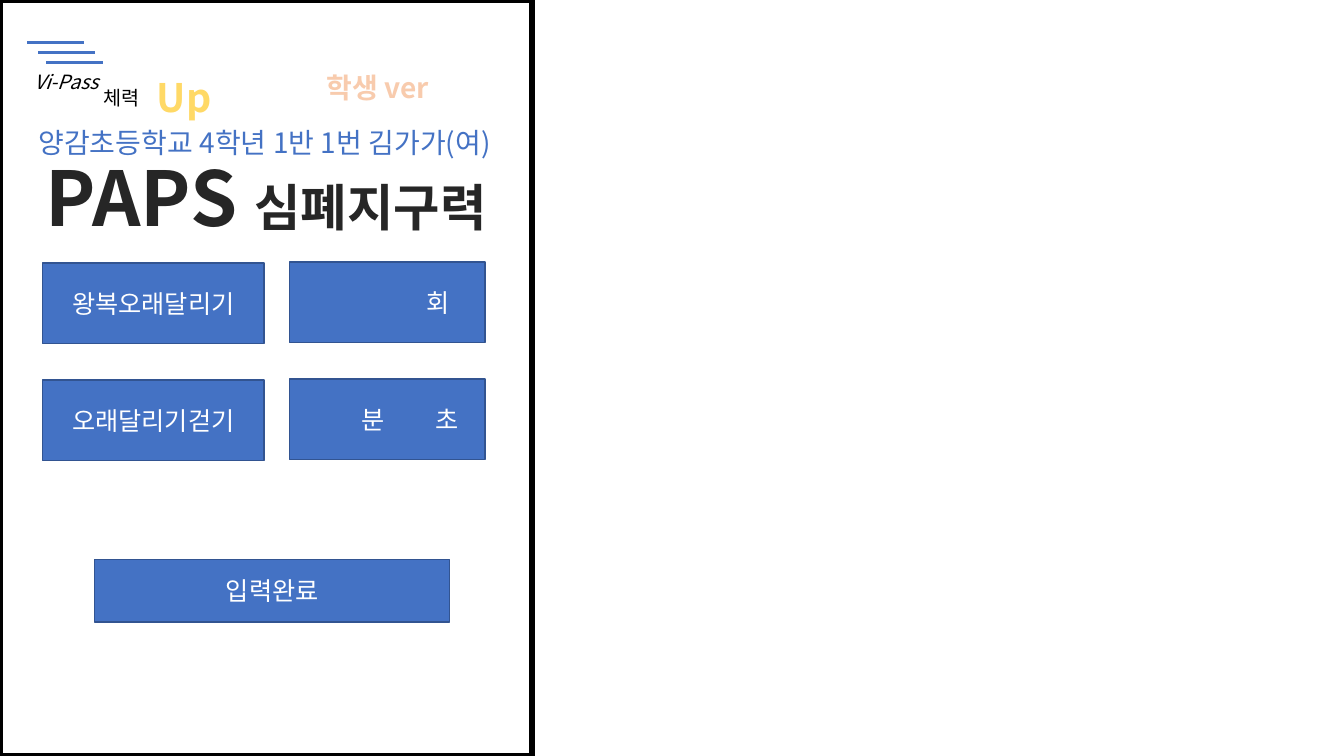
from lxml import etree
from pptx import Presentation
from pptx.dml.color import RGBColor
from pptx.enum import shapes, text
from pptx.oxml import parse_xml
from pptx.oxml.ns import nsdecls, qn
from pptx.util import Inches, Pt

FONT = "Noto Sans CJK KR"
COLORS = {name: RGBColor.from_string(code) for name, code in {
    "white": "FFFFFF", "black": "000000", "ink": "262626", "blue": "4472C4",
    "edge": "325491", "gold": "FFD966", "amber": "FFC000",
    "peach": "F8CBAD", "orange": "ED7D31"}.items()}
LEFT, MID = text.PP_ALIGN.LEFT, text.PP_ALIGN.CENTER


def style(para, size, color, align=MID, bold=False, italic=False, rim=None):
    para.alignment = align
    font = para.font
    font.name, font.size = FONT, Pt(size)
    font.bold, font.italic = bold, italic
    font.color.rgb = COLORS[color]
    props = para._p.pPr.find(qn("a:defRPr"))
    etree.SubElement(props, qn("a:ea")).set("typeface", FONT)
    if rim:
        shade, width = rim
        props.insert(0, parse_xml(
            f'<a:ln {nsdecls("a")} w="{Pt(width)}"><a:solidFill>'
            f'<a:srgbClr val="{COLORS[shade]}"/></a:solidFill></a:ln>'))


def box(left, top, width, height, fill, edge, weight):
    rect = slide.shapes.add_shape(
        shapes.MSO_SHAPE.RECTANGLE,
        Inches(left), Inches(top), Inches(width), Inches(height))
    rect.shadow.inherit = False
    rect.fill.solid()
    rect.fill.fore_color.rgb = COLORS[fill]
    rect.line.color.rgb = COLORS[edge]
    rect.line.width = Pt(weight)
    return rect


deck = Presentation()
deck.slide_width, deck.slide_height = Inches(13.33), Inches(7.5)
slide = deck.slides.add_slide(deck.slide_layouts[5])

# Phone frame, with the title in front of it
frame = box(0, 0, 5.28, 7.5, "white", "black", 4.5)
title = slide.shapes.title
frame.element.addnext(title.element)
title.left, title.top = Inches(0.22), Inches(1.45)
title.width, title.height = Inches(4.84), Inches(1.01)
body = title.text_frame
body.word_wrap = False
body.auto_size = text.MSO_AUTO_SIZE.SHAPE_TO_FIT_TEXT
body.vertical_anchor = text.MSO_ANCHOR.TOP
para = body.paragraphs[0]
for words, size in (("PAPS ", 54), ("심폐지구력", 36)):
    run = para.add_run()
    run.text = words
    run.font.size = Pt(size)
style(para, 54, "ink", bold=True, rim=("white", 1.06))

# Speed lines of the logo
for left, top in ((0.27, 0.42), (0.38, 0.52), (0.46, 0.62)):
    line = slide.shapes.add_connector(
        shapes.MSO_CONNECTOR.STRAIGHT,
        Inches(left), Inches(top), Inches(left + 0.56), Inches(top))
    line.line.color.rgb = COLORS["blue"]
    line.line.width = Pt(2)
    etree.SubElement(line.element.spPr, qn("a:effectLst"))

# Entry rows: event name, then its units after a blank
for top, event, units, indent in ((2.6, "왕복오래달리기", "회", 1.36),
                                  (3.76, "오래달리기걷기", "분\t초", 0.72)):
    name = box(0.42, top + 0.01, 2.2, 0.8, "blue", "edge", 1)
    name.text_frame.text = event
    style(name.text_frame.paragraphs[0], 18, "white")

    entry = box(2.87, top, 1.94, 0.8, "blue", "edge", 1)
    entry.text_frame.text = units
    entry.text_frame.margin_left = Inches(indent)
    para = entry.text_frame.paragraphs[0]
    style(para, 18, "white", LEFT)
    para._p.pPr.insert(0, parse_xml(
        f'<a:tabLst {nsdecls("a")}><a:tab pos="{Inches(0.73)}" algn="l"/>'
        '</a:tabLst>'))

# Submit button
done = box(0.94, 5.55, 3.52, 0.62, "blue", "edge", 1)
done.text_frame.text = "입력완료"
style(done.text_frame.paragraphs[0], 18, "white")

# Labels: text, place, wrap and style
for words, place, wrap, look in (
        ("체력", (0.91, 0.8, 0.59, 0.34), False, dict(size=14, color="black")),
        ("Up", (1.45, 0.68, 0.75, 0.57), True,
         dict(size=28, color="gold", bold=True, rim=("amber", 1))),
        ("Vi-Pass", (0.24, 0.64, 0.87, 0.34), True,
         dict(size=14, color="black", align=LEFT, italic=True)),
        ("양감초등학교 4학년 1반 1번 김가가(여) ", (0.03, 1.2, 5.25, 0.44), False,
         dict(size=20, color="blue")),
        ("학생 ver", (2.89, 0.65, 1.71, 0.44), True,
         dict(size=20, color="peach", bold=True, rim=("orange", 1.75)))):
    label = slide.shapes.add_textbox(*map(Inches, place))
    label.text_frame.word_wrap = wrap
    label.text_frame.auto_size = text.MSO_AUTO_SIZE.SHAPE_TO_FIT_TEXT
    label.text_frame.text = words
    style(label.text_frame.paragraphs[0], **look)

deck.save("out.pptx")
